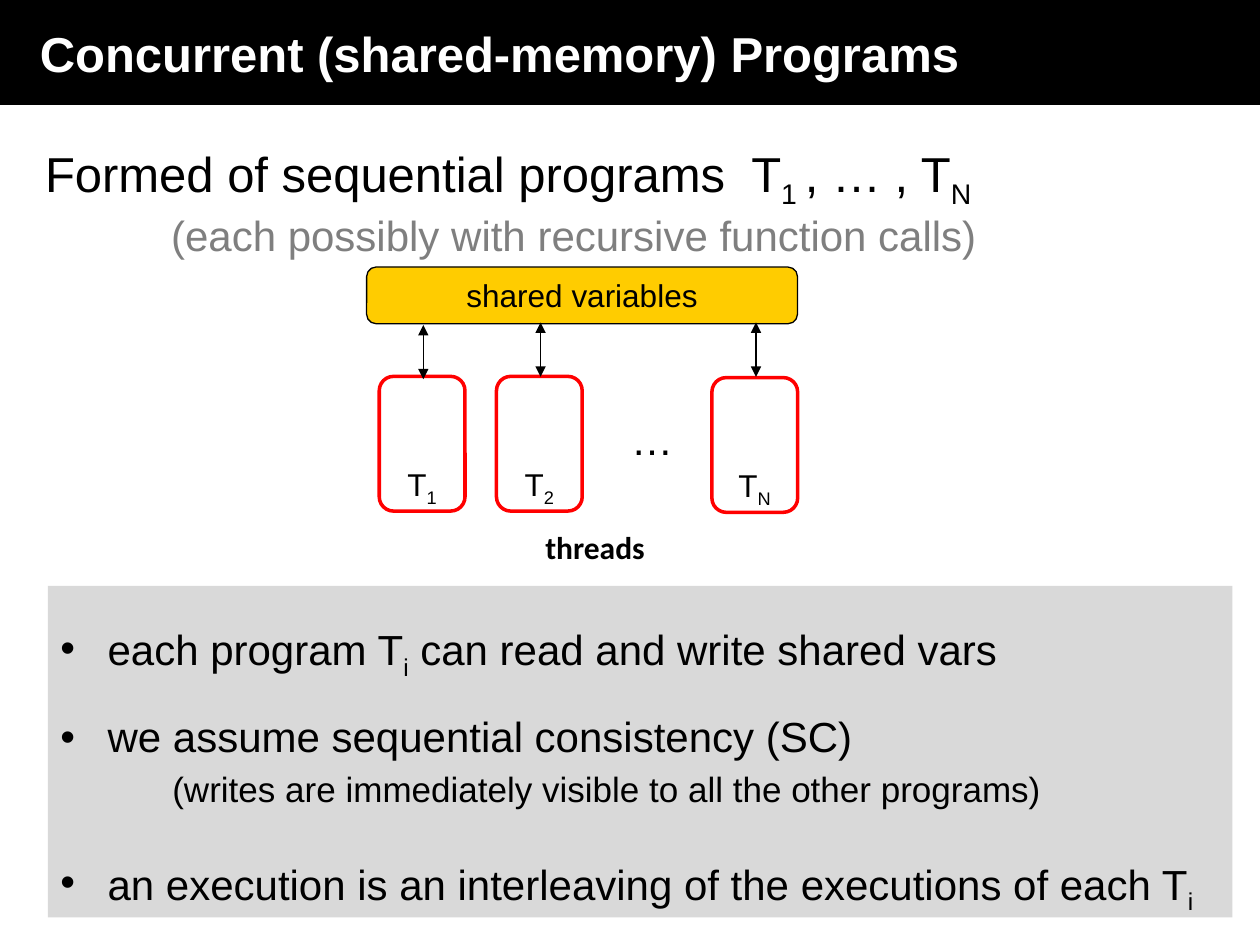
from dataclasses import dataclass

from lxml.etree import SubElement
from pptx import Presentation
from pptx.dml.color import RGBColor
from pptx.enum.shapes import MSO_CONNECTOR as Connector, MSO_SHAPE as Shape
from pptx.enum.text import MSO_ANCHOR as Anchor, PP_ALIGN as Align
from pptx.oxml.ns import qn
from pptx.util import Pt


@dataclass(frozen=True)
class Theme:
    font: str = "Arial"
    caption_font: str = "Calibri"
    black: str = "000000"
    white: str = "FFFFFF"
    muted: str = "7F7F7F"
    shared: str = "FFCC00"
    thread: str = "FF0000"
    panel: str = "D9D9D9"
    title: int = 28
    body: int = 24
    detail: int = 20
    label: int = 18


THEME = Theme()


def color(value):
    return RGBColor.from_string(value)


def set_margins(frame, left, top, right, bottom):
    frame.margin_left, frame.margin_top = Pt(left), Pt(top)
    frame.margin_right, frame.margin_bottom = Pt(right), Pt(bottom)


def add_block(page, box, kind, fill, line=None, width=0.75):
    block = page.shapes.add_shape(kind, *map(Pt, box))
    block.shadow.inherit = False
    block.fill.solid()
    block.fill.fore_color.rgb = color(fill)
    if line:
        block.line.color.rgb = color(line)
        block.line.width = Pt(width)
    else:
        block.line.fill.background()
    return block


def add_frame(page, box, margins, wrap=True):
    frame = page.shapes.add_textbox(*map(Pt, box)).text_frame
    frame.word_wrap = wrap
    set_margins(frame, *margins)
    return frame


def set_indent(para, left, hanging=0, bullet=None):
    properties = para._p.get_or_add_pPr()
    properties.set("marL", str(Pt(left)))
    properties.set("indent", str(Pt(-hanging)))
    if bullet:
        SubElement(properties, qn("a:buFont"), typeface=THEME.font)
        SubElement(properties, qn("a:buChar"), char=bullet)


def write(para, parts, size, ink=THEME.black, font=THEME.font, bold=False,
          align=Align.LEFT):
    """Fill a paragraph with parts; every second part is a subscript."""
    para.alignment = align
    para.font.name, para.font.size, para.font.bold = font, Pt(size), bold
    para.font.color.rgb = color(ink)
    for index, part in enumerate(parts):
        span = para.add_run()
        span.text = part
        if index % 2:
            span.font._element.set("baseline", "-25000")


def add_title(page, box):
    frame = add_block(page, box, Shape.RECTANGLE, THEME.black).text_frame
    frame.word_wrap = True
    frame.vertical_anchor = Anchor.MIDDLE
    set_margins(frame, 22.8, 3.6, 7.2, 3.6)
    write(frame.paragraphs[0], ["Concurrent (shared-memory) Programs"],
          THEME.title, THEME.white, bold=True)


def add_intro(page, box):
    frame = add_frame(page, box, (7.2, 10.6, 7.2, 3.6))
    lead = frame.paragraphs[0]
    lead.line_spacing = 0.9
    write(lead, ["Formed of sequential programs  T", "1 ", ", … , T", "N"], THEME.title)
    note = frame.add_paragraph()
    set_indent(note, 72)
    note.line_spacing, note.space_before = 0.9, Pt(6)
    write(note, ["(each possibly with recursive function calls)"], THEME.body, THEME.muted)


def add_double_arrow(page, x, top, bottom):
    arrow = page.shapes.add_connector(Connector.STRAIGHT, *map(Pt, (x, top, x, bottom)))
    arrow.line.color.rgb = color(THEME.black)
    arrow.line.width = Pt(0.75)
    line = arrow.line._get_or_add_ln()
    for end in ("a:headEnd", "a:tailEnd"):
        SubElement(line, qn(end), type="triangle", w="med", len="med")
    SubElement(arrow._element.spPr, qn("a:effectLst"))


def add_thread(page, box, index, arrow_top):
    left, top, width, height = box
    add_block(page, box, Shape.ROUNDED_RECTANGLE, THEME.white, THEME.thread, 2)
    label = add_frame(page, (left + 5, top + 45.4, width - 10, 22.3), (0, 5.2, 0, 0))
    write(label.paragraphs[0], ["T", index], THEME.label, align=Align.CENTER)
    add_double_arrow(page, left + width / 2 + 0.7, arrow_top, arrow_top + 31)


def add_diagram(page, box):
    """Draw the shared store above its threads, with a caption below."""
    left, top, width, height = box
    store = add_block(page, (left, top, width, 32.4), Shape.ROUNDED_RECTANGLE,
                      THEME.shared, THEME.black)
    store.text_frame.vertical_anchor = Anchor.MIDDLE
    write(store.text_frame.paragraphs[0], ["shared variables"], THEME.label,
          align=Align.CENTER)
    threads = (("1", 7.2, 62.5, 33.1), ("2", 74.2, 62.5, 31.7), ("N", 197.3, 63.2, 31.7))
    for index, x, y, arrow_y in threads:
        add_thread(page, (left + x, top + y, 49, 77), index, top + arrow_y)
    dots = add_frame(page, (left + 128.9, top + 77, 68.4, 27.4), (0, 6.5, 0, 0))
    write(dots.paragraphs[0], ["…"], THEME.body, align=Align.CENTER)
    caption = add_frame(page, (left + 95, top + height - 28.8, 71.3, 28.8),
                        (7.2, 3.6, 7.2, 3.6), wrap=False)
    write(caption.paragraphs[0], ["threads"], THEME.label,
          font=THEME.caption_font, bold=True)


def add_assumptions(page, box):
    frame = add_block(page, box, Shape.RECTANGLE, THEME.panel).text_frame
    frame.word_wrap = True
    frame.vertical_anchor = Anchor.TOP
    set_margins(frame, 7.2, 22.2, 7.2, 3.6)
    points = (
        (["each program T", "i", " can read and write shared vars"], 0, True),
        (["we assume sequential consistency (SC)"], 23, True),
        (["(writes are immediately visible to all the other programs)"], 6, False),
        (["an execution is an interleaving of the executions of each T", "i"], 28, True),
    )
    for number, (parts, gap, bulleted) in enumerate(points):
        para = frame.add_paragraph() if number else frame.paragraphs[0]
        para.line_spacing = 0.9
        if gap:
            para.space_before = Pt(gap)
        if bulleted:
            set_indent(para, 27, 27, "•")
        else:
            set_indent(para, 64)
        write(para, parts, THEME.body if bulleted else THEME.detail)


def main():
    deck = Presentation()
    deck.slide_width, deck.slide_height = Pt(720), Pt(540)
    page = deck.slides.add_slide(deck.slide_layouts[6])
    add_title(page, (0, 0, 722, 60))
    add_intro(page, (18.7, 72, 701.3, 80.6))
    add_diagram(page, (209.5, 152.6, 246.2, 174.3))
    add_assumptions(page, (27.4, 334.8, 676.8, 189.4))
    deck.save("out.pptx")


if __name__ == "__main__":
    main()
